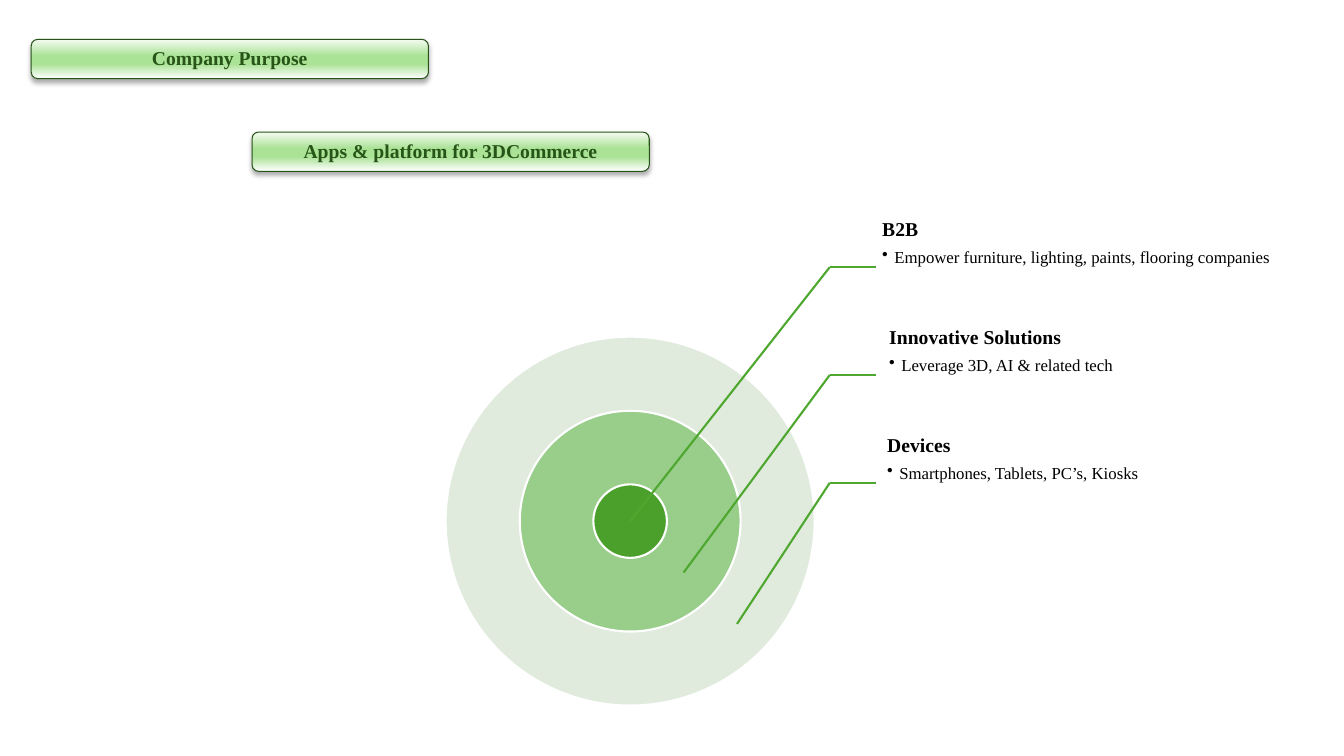
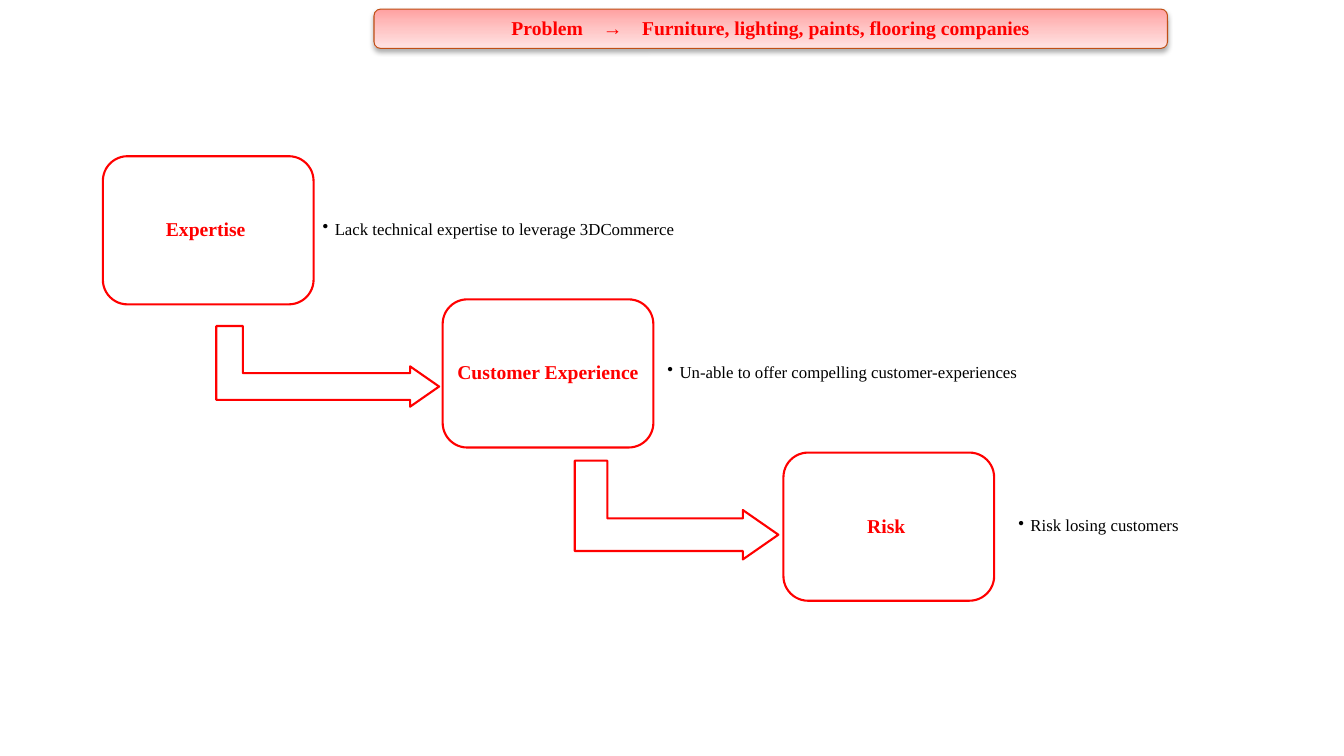
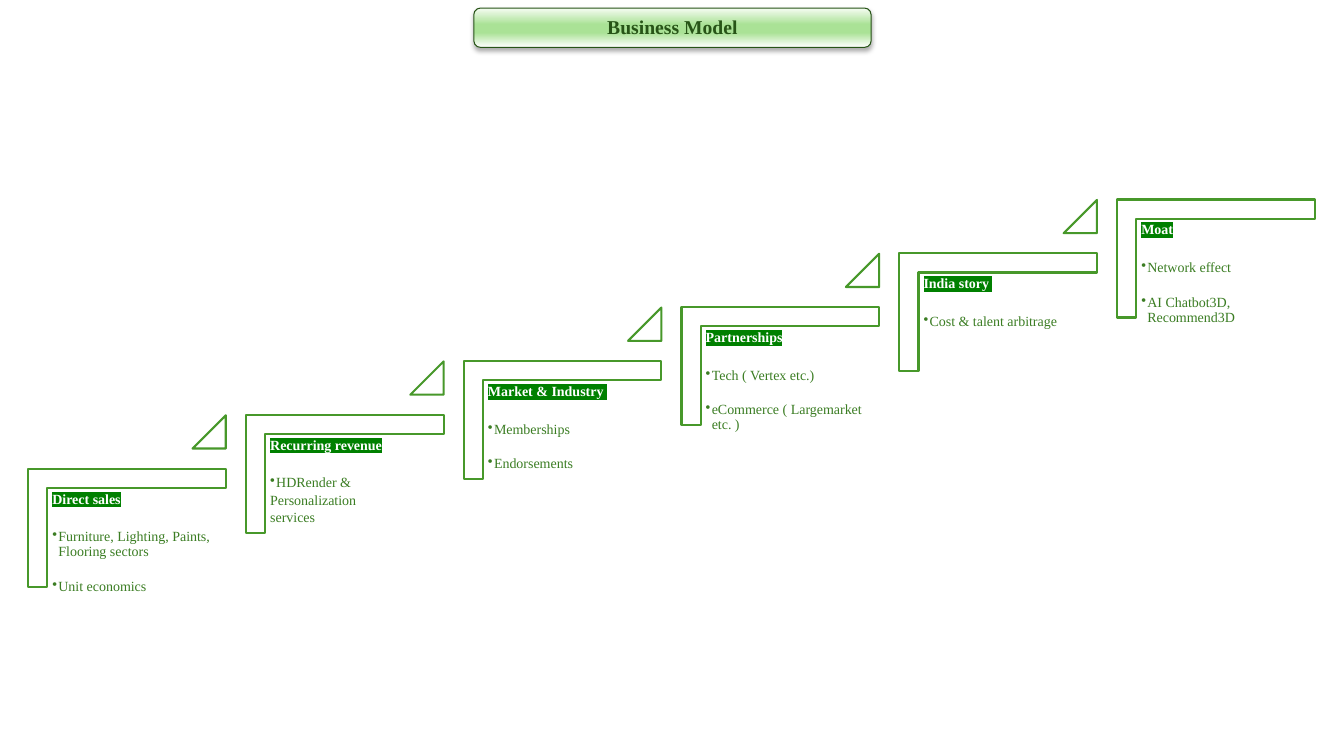
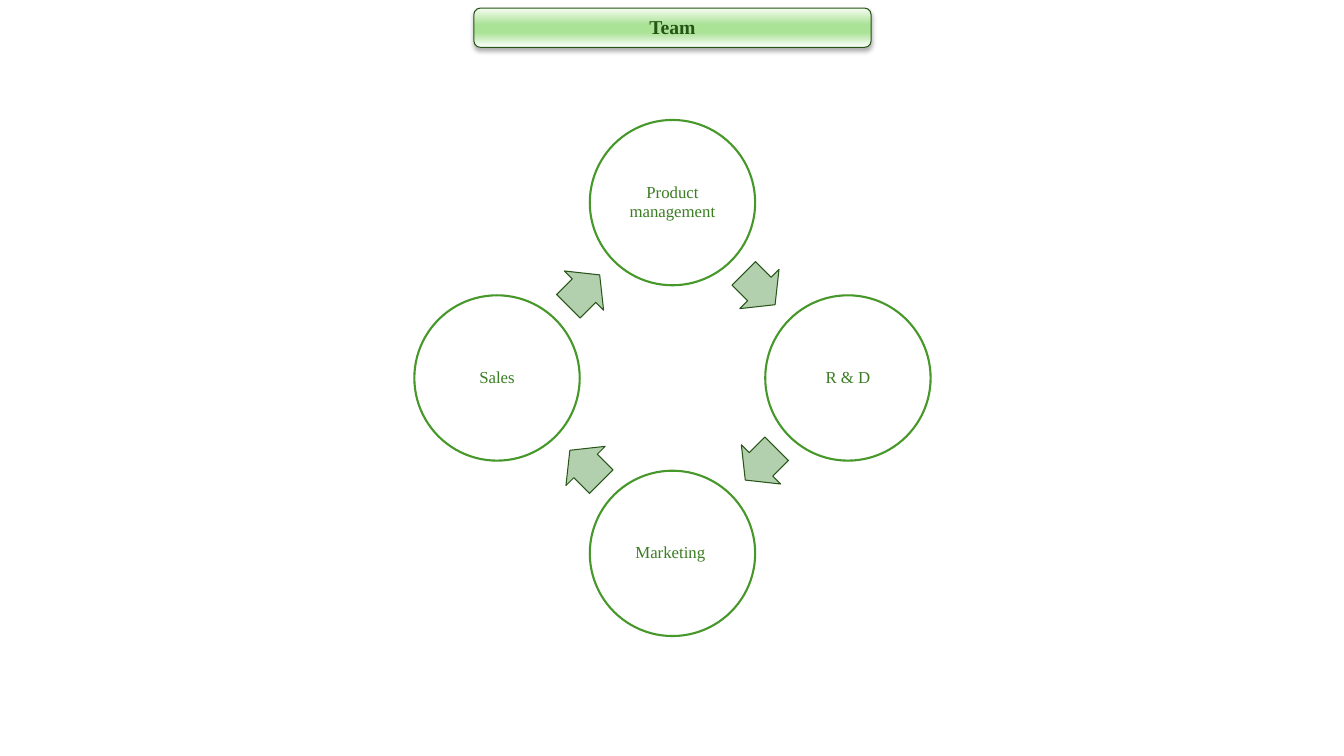
import math

import pptx
import pptx.dml.color
import pptx.enum.shapes
import pptx.enum.text
import pptx.oxml
import pptx.oxml.ns
import pptx.util

Inches = pptx.util.Inches
Pt = pptx.util.Pt
RGBColor = pptx.dml.color.RGBColor
MSO_SHAPE = pptx.enum.shapes.MSO_SHAPE
MSO_CONNECTOR = pptx.enum.shapes.MSO_CONNECTOR
ALIGN = pptx.enum.text.PP_ALIGN
ANCHOR = pptx.enum.text.MSO_ANCHOR
qn = pptx.oxml.ns.qn

# Shared colours
BLACK = RGBColor(0x00, 0x00, 0x00)
WHITE = RGBColor(0xFF, 0xFF, 0xFF)
RED = RGBColor(0xFF, 0x00, 0x00)
RUST = RGBColor(0xC0, 0x4F, 0x15)
DARK_GREEN = RGBColor(0x27, 0x54, 0x17)
TEXT_GREEN = RGBColor(0x3B, 0x7D, 0x23)
LINE_GREEN = RGBColor(0x47, 0x98, 0x2A)
LEADER_GREEN = RGBColor(0x4E, 0xA7, 0x2E)
MARK_GREEN = RGBColor(0x00, 0x80, 0x00)
ARROW_GREEN = RGBColor(0xB2, 0xD0, 0xAD)
RING_OUTER = RGBColor(0xC2, 0xD9, 0xBE)
RING_MIDDLE = RGBColor(0x80, 0xC3, 0x6E)
RING_CORE = RGBColor(0x4B, 0xA0, 0x2C)
GLOSS = RGBColor(0xAA, 0xE2, 0x96)
GREEN_STOPS = [(0, RGBColor(0xF6, 0xFC, 0xF3)), (42, GLOSS), (63, GLOSS), (100, WHITE)]
RED_STOPS = [(0, RGBColor(0xFF, 0xA0, 0xA0)), (50, RGBColor(0xFF, 0xC5, 0xC5)),
             (100, RGBColor(0xFF, 0xE3, 0xE3))]

# Text styles
FONT = "Times New Roman"
HEADING = {"name": FONT, "size": Pt(14), "bold": True}
BODY = {"name": FONT, "size": Pt(12), "bold": False}
STEP_HEADING = {"name": FONT, "size": Pt(10), "bold": True}
STEP_BODY = {"name": FONT, "size": Pt(10), "bold": False}


def add_xml(parent, tag, **attrs):
    """Append a DrawingML child element and return it."""
    child = pptx.oxml.parse_xml(f"<a:{tag} {pptx.oxml.ns.nsdecls('a')}/>")
    for name, value in attrs.items():
        child.set(name, str(value))
    parent.append(child)
    return child


def set_frame(tf, inset, anchor=ANCHOR.MIDDLE):
    left, top, right, bottom = (Inches(v) for v in inset)
    frame = {"word_wrap": True, "vertical_anchor": anchor, "margin_left": left,
             "margin_top": top, "margin_right": right, "margin_bottom": bottom}
    for name, value in frame.items():
        setattr(tf, name, value)


def add_run(p, text, fmt, color, spacing=0, highlight=None):
    r = p.add_run()
    r.text = text
    for name, value in fmt.items():
        setattr(r.font, name, value)
    r.font.color.rgb = color
    rPr = r.font._element
    if spacing:
        rPr.set("spc", str(spacing))
    if highlight:
        mark = add_xml(rPr, "highlight")
        add_xml(mark, "srgbClr", val=highlight)
        rPr.find(qn("a:solidFill")).addnext(mark)


def add_para(tf, align=ALIGN.LEFT, before=0, after=0, indent=0, bullet=False):
    """Use the first paragraph while it is empty, then add new ones."""
    p = tf.paragraphs[0]
    if p.runs:
        p = tf.add_paragraph()
    layout = {"alignment": align, "line_spacing": 0.9,
              "space_before": Pt(before), "space_after": Pt(after)}
    for name, value in layout.items():
        setattr(p, name, value)
    if indent:
        p.level = 1
        pPr = p._p.get_or_add_pPr()
        pPr.set("marL", str(Inches(indent)))
        pPr.set("indent", str(-Inches(indent)))
        if bullet:
            add_xml(pPr, "buChar", char="•")
        else:
            add_xml(pPr, "buNone")
    return p


def add_text(s, box, inset, anchor=ANCHOR.TOP):
    tf = s.shapes.add_textbox(*(Inches(v) for v in box)).text_frame
    set_frame(tf, inset, anchor)
    return tf


def style_shape(sp, fill, line, width=1.5):
    sp.shadow.inherit = False
    sp.fill.solid()
    sp.fill.fore_color.rgb = fill
    sp.line.color.rgb = line
    sp.line.width = Pt(width)


def add_shape(s, kind, box, fill, line, width=1.5, adj=(), rot=0, alpha=None):
    sp = s.shapes.add_shape(kind, *(Inches(v) for v in box))
    style_shape(sp, fill, line, width)
    sp.rotation = rot
    for i, value in enumerate(adj):
        sp.adjustments[i] = value
    if alpha:
        clr = sp._element.spPr.find(qn("a:solidFill")).find(qn("a:srgbClr"))
        add_xml(clr, "alpha", val=alpha * 1000)
    return sp


def add_corner(s, left, top, width, height, bar):
    """Step outline: a bar along the top and a bar down the left side."""
    outline = [(0, 0), (width, 0), (width, bar), (bar, bar), (bar, height), (0, height)]
    points = [(Inches(left + x), Inches(top + y)) for x, y in outline]
    builder = s.shapes.build_freeform(*points[0])
    builder.add_line_segments(points[1:], close=True)
    style_shape(builder.convert_to_shape(), WHITE, LINE_GREEN)


def add_label(sp, text, fmt, color, inset):
    set_frame(sp.text_frame, [inset] * 4)
    add_run(add_para(sp.text_frame, ALIGN.CENTER), text, fmt, color)


def add_line(s, start, end):
    ends = (Inches(v) for v in (*start, *end))
    cx = s.shapes.add_connector(MSO_CONNECTOR.STRAIGHT, *ends)
    cx.line.color.rgb = LEADER_GREEN
    cx.line.width = Pt(1.5)
    add_xml(cx._element.spPr, "effectLst")


def add_banner(s, left, top, runs, width=3.94, stops=GREEN_STOPS,
               line=DARK_GREEN, color=DARK_GREEN):
    """Glossy title band; runs are (text, letter spacing) pairs."""
    sp = add_shape(s, MSO_SHAPE.ROUNDED_RECTANGLE, (left, top, width, 0.39),
                   WHITE, line, 0.75)
    sp.fill.gradient()
    sp.fill.gradient_angle = 270
    spPr = sp._element.spPr
    gs_list = spPr.find(qn("a:gradFill")).find(qn("a:gsLst"))
    for gs in list(gs_list):
        gs_list.remove(gs)
    for pos, rgb in stops:
        add_xml(add_xml(gs_list, "gs", pos=pos * 1000), "srgbClr", val=rgb)
    shadow = add_xml(spPr.find(qn("a:effectLst")), "outerShdw", blurRad=Pt(3.5),
                     dist=Pt(2.2), dir=5400000, algn="t", rotWithShape=0)
    add_xml(add_xml(shadow, "srgbClr", val=BLACK), "alpha", val=32000)
    set_frame(sp.text_frame, (0.1, 0.05, 0.1, 0.05))
    p = add_para(sp.text_frame, ALIGN.CENTER)
    for text, spacing in runs:
        add_run(p, text, HEADING, color, spacing)


def build_purpose(s):
    add_banner(s, 0.31, 0.39, [("Company Purpose", 0)])
    add_banner(s, 2.5, 1.31, [("Apps & platform for 3DCommerce", 0)])

    # Concentric rings
    cx, cy = 6.25, 5.17
    for size, fill, alpha in [(3.66, RING_OUTER, 50), (2.19, RING_MIDDLE, 75),
                              (0.73, RING_CORE, None)]:
        box = (cx - size / 2, cy - size / 2, size, size)
        add_shape(s, MSO_SHAPE.OVAL, box, fill, WHITE, alpha=alpha)

    # Callouts with leader lines
    callouts = [
        ("B2B", "Empower furniture, lighting, paints, flooring companies", 8.64, 4.29),
        ("Innovative Solutions", "Leverage 3D, AI & related tech", 8.71, 3.9),
        ("Devices", "Smartphones, Tablets, PC’s, Kiosks", 8.69, 3.9),
    ]
    for i, (title, detail, left, width) in enumerate(callouts):
        y = 2.65 + 1.07 * i
        tf = add_text(s, (left, y - 0.49, width, 0.98), (0.11, 0.02, 0.02, 0.02))
        add_run(add_para(tf, after=5.6), title, HEADING, BLACK)
        add_run(add_para(tf, indent=0.12, bullet=True), detail, BODY, BLACK)
        add_line(s, (8.23, y), (8.69, y))
        add_line(s, (8.23, y), (cx + 0.53 * i, cy + 0.51 * i))


def build_problem(s):
    # Wide gaps around the arrow come from letter spacing
    add_banner(s, 3.71, 0.09,
               [("Problem", 0), (" ", 1050), ("→ ", 525),
                ("Furniture, lighting, paints, flooring companies", 0)],
               width=7.87, stops=RED_STOPS, line=RUST, color=RED)

    for box in [(2.85, 2.53, 0.8, 2.21), (6.22, 4.05, 0.98, 2.02)]:
        add_shape(s, MSO_SHAPE.BENT_UP_ARROW, box, WHITE, RED,
                  adj=(0.33, 0.25, 0.36), rot=90)

    problems = [
        ("Expertise ", 1.02, 1.55,
         "Lack technical expertise to leverage 3DCommerce", 3.15, 3.98),
        ("Customer Experience", 4.39, 2.97,
         "Un-able to offer compelling customer-experiences", 6.57, 4.21),
        ("Risk ", 7.77, 4.49, "Risk losing customers", 10.05, 2.78),
    ]
    for title, left, top, detail, text_left, text_width in problems:
        sp = add_shape(s, MSO_SHAPE.ROUNDED_RECTANGLE, (left, top, 2.09, 1.47),
                       WHITE, RED)
        add_label(sp, title, HEADING, RED, 0.05)
        tf = add_text(s, (text_left, top + 0.14, text_width, 1.18), [0.05] * 4,
                      ANCHOR.MIDDLE)
        add_run(add_para(tf, indent=0.12, bullet=True), detail, BODY, BLACK)


def build_model(s):
    add_banner(s, 4.7, 0.08, [("Business Model", 0)])

    # Each step: heading, bulleted items; lines after the first of an item
    # are unbulleted
    steps = [
        ("Direct sales", [["Furniture, Lighting, Paints, Flooring sectors"],
                          ["Unit economics"]]),
        ("Recurring revenue", [["HDRender &", "Personalization", "services"]]),
        ("Market & Industry ", [["Memberships"], ["Endorsements"]]),
        ("Partnerships", [["Tech ( Vertex etc.)"], ["eCommerce ( Largemarket etc. )"]]),
        ("India story ", [["Cost & talent arbitrage"]]),
        ("Moat", [["Network effect"], ["AI Chatbot3D, Recommend3D"]]),
    ]
    last = len(steps) - 1
    for i, (title, items) in enumerate(steps):
        left, top = 0.28 + 2.16 * i, 4.65 - 2.67 * i / last
        add_corner(s, left, top, 1.96, 1.17, 0.19)
        tf = add_text(s, (left + 0.2, top + 0.19, 1.77, 1.55), [0.04] * 4)
        add_run(add_para(tf, after=4), title, STEP_HEADING, WHITE, highlight=MARK_GREEN)
        for lines in items:
            for k, text in enumerate(lines):
                p = add_para(tf, before=0 if k else 12.1, after=1.7, indent=0.06,
                             bullet=k == 0)
                add_run(p, text, STEP_BODY, TEXT_GREEN)
        if i < last:
            add_shape(s, MSO_SHAPE.ISOSCELES_TRIANGLE,
                      (left + 1.63, top - 0.53, 0.33, 0.33), WHITE, LINE_GREEN, adj=(1,))


def build_team(s):
    add_banner(s, 4.7, 0.08, [("Team", 0)])

    # Cycle of circles, clockwise from the top, with an arrow after each
    cx, cy, size = 6.67, 3.75, 1.64
    for i, name in enumerate(["Product management", "R & D", "Marketing ", "Sales"]):
        a = math.radians(90 * i - 90)
        x, y = cx + 1.74 * math.cos(a), cy + 1.74 * math.sin(a)
        sp = add_shape(s, MSO_SHAPE.OVAL, (x - size / 2, y - size / 2, size, size),
                       WHITE, LINE_GREEN)
        add_label(sp, name, BODY, TEXT_GREEN, 0.02)
        a = math.radians(90 * i - 45.5)
        x, y = cx + 1.23 * math.cos(a), cy + 1.23 * math.sin(a)
        add_shape(s, MSO_SHAPE.RIGHT_ARROW, (x - 0.22, y - 0.28, 0.44, 0.55),
                  ARROW_GREEN, DARK_GREEN, 0.75, adj=(0.6, 0.5), rot=45 + 90 * i)


def main():
    prs = pptx.Presentation()
    prs.slide_width, prs.slide_height = Inches(13.33), Inches(7.5)
    for build in (build_purpose, build_problem, build_model, build_team):
        build(prs.slides.add_slide(prs.slide_layouts[6]))
    prs.save("out.pptx")


if __name__ == "__main__":
    main()
